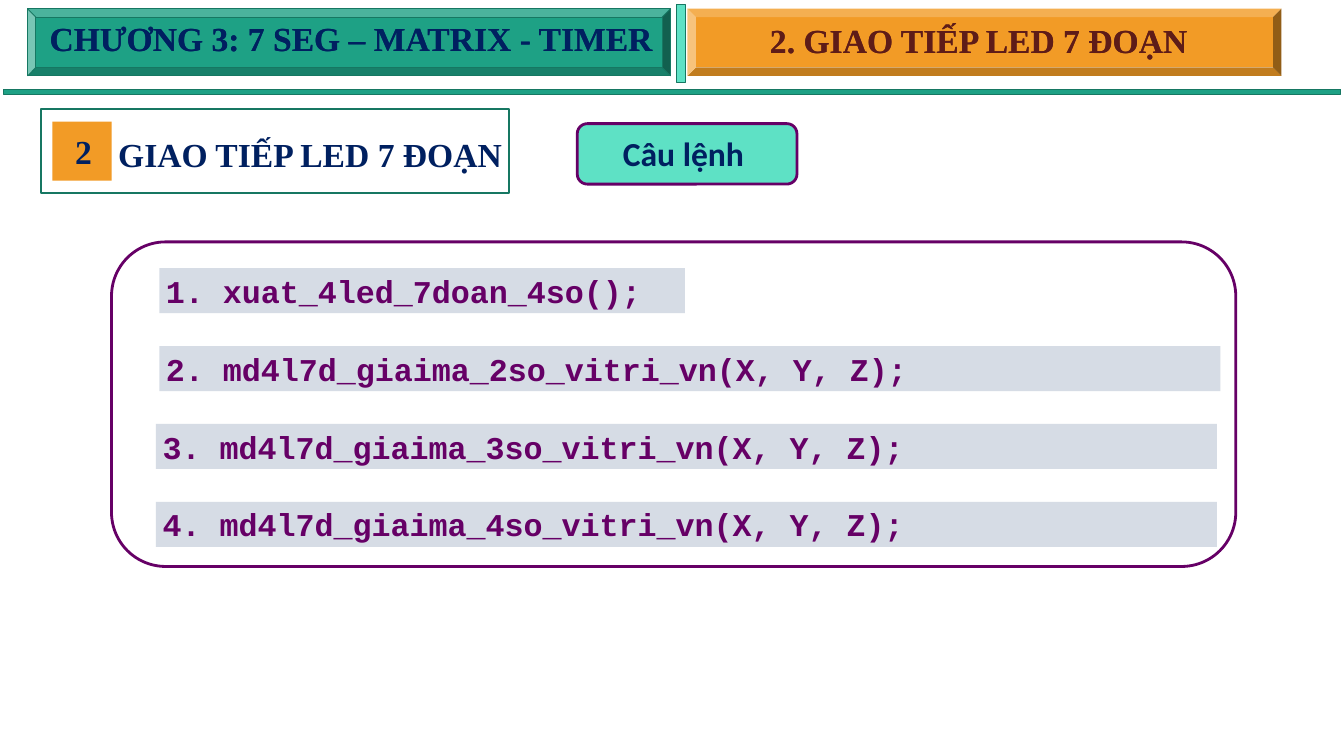
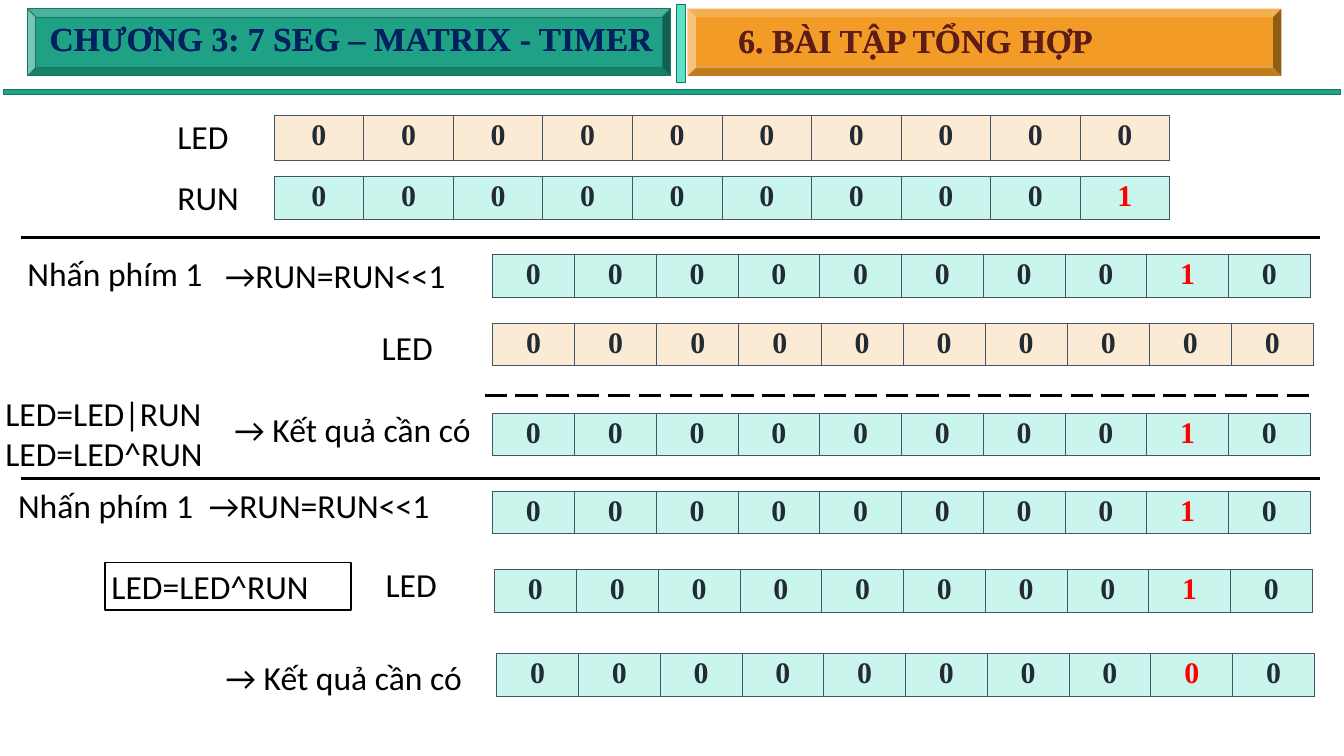
from lxml.etree import SubElement
from pptx import Presentation
from pptx.dml.color import RGBColor
from pptx.enum.dml import MSO_LINE
from pptx.enum.shapes import MSO_CONNECTOR, MSO_SHAPE
from pptx.enum.text import MSO_ANCHOR, PP_ALIGN
from pptx.oxml.ns import qn
from pptx.util import Inches, Pt

HUE = {
    "green": "1EA185", "edge": "167762", "mint": "5EE1C5", "orange": "F29B26",
    "navy": "002060", "brown": "5E1C18", "rose": "DE827B", "plum": "660066",
    "grey": "D6DCE5", "cream": "FCEBD4", "aqua": "C9F5EC", "grid": "445469",
    "ink": "222A34", "red": "FF0000", "black": "000000",
}
HEAD = {"name": "Times New Roman", "size": Pt(36), "bold": True}
BADGE = {"name": "Calibri", "size": Pt(36), "bold": True}
LABEL = {"name": "Calibri", "size": Pt(36), "bold": False}
CODE = {"name": "Courier New", "size": Pt(34), "bold": True}
BIT = {"name": "Times New Roman", "size": Pt(32), "bold": True}


def draw(page, kind, box, fill=None, line=None, width=1):
    place = [Inches(n) for n in box]
    if kind is None:
        return page.shapes.add_textbox(*place)
    form = page.shapes.add_shape(kind, *place)
    form.shadow.inherit = False
    if fill:
        form.fill.solid()
        form.fill.fore_color.rgb = RGBColor.from_string(HUE[fill])
    else:
        form.fill.background()
    if line:
        form.line.color.rgb = RGBColor.from_string(HUE[line])
        form.line.width = Pt(width)
    else:
        form.line.fill.background()
    return form


def write(form, words, look, hue, align=PP_ALIGN.LEFT, after=0):
    frame = form.text_frame
    frame.word_wrap = True
    frame.vertical_anchor = MSO_ANCHOR.TOP
    frame.text = words
    for para in frame.paragraphs:
        para.alignment = align
        para.space_after = Pt(after)
        for run in para.runs:
            for key, value in look.items():
                setattr(run.font, key, value)
            run.font.color.rgb = RGBColor.from_string(HUE[hue])
    return frame


deck = Presentation()
deck.slide_width = Inches(20)
deck.slide_height = Inches(11.25)

pages = []
for title, left in [("2. GIAO TIẾP LED 7 ĐOẠN", 11.36), ("6. BÀI TẬP TỔNG HỢP", 10.89)]:
    page = deck.slides.add_slide(deck.slide_layouts[6])
    pages.append(page)
    draw(page, MSO_SHAPE.MATH_MINUS, (-3.54, 1.2, 27.08, 0.33), "green", "edge")
    draw(page, MSO_SHAPE.BEVEL, (0.41, 0.13, 9.57, 1), "green", "edge")
    draw(page, MSO_SHAPE.MATH_MINUS, (10.05, -1.82, 0.17, 4.93), "mint", "edge")
    draw(page, MSO_SHAPE.BEVEL, (10.23, 0.13, 8.84, 1), "orange")
    heads = [
        ("CHƯƠNG 3: 7 SEG – MATRIX - TIMER", (0.64, 0.22, 12.25, 0.71), "navy", "green", 2.75),
        (title, (left, 0.25, 7.42, 0.71), "brown", "rose", 2.25),
    ]
    for words, box, hue, glow, width in heads:
        for rim in (True, False):
            frame = write(draw(page, None, box), words, HEAD, hue)
            if rim:
                props = frame.paragraphs[0].runs[0]._r.get_or_add_rPr()
                edge = SubElement(props, qn("a:ln"), w=str(Pt(width)))
                tint = SubElement(edge, qn("a:solidFill"))
                SubElement(tint, qn("a:srgbClr"), val=HUE[glow])
                props.insert(0, edge)

first, second = pages

draw(first, MSO_SHAPE.RECTANGLE, (0.78, 1.81, 0.88, 0.88), "orange")
draw(first, MSO_SHAPE.RECTANGLE, (0.61, 1.62, 6.97, 1.25), None, "edge", 2)
write(draw(first, None, (1.66, 1.94, 6.05, 0.71)), "GIAO TIẾP LED 7 ĐOẠN", HEAD, "navy")
write(draw(first, None, (1.02, 1.9, 3.99, 0.71)), "2", HEAD, "navy")
draw(first, MSO_SHAPE.ROUNDED_RECTANGLE, (8.59, 1.84, 3.27, 0.9), "mint", "plum", 3)
write(draw(first, None, (9.17, 1.93, 6.05, 0.71)), "Câu lệnh", BADGE, "navy")
draw(first, MSO_SHAPE.ROUNDED_RECTANGLE, (1.66, 3.6, 16.73, 4.83), None, "plum", 3)

calls = [
    ("xuat_4led_7doan_4so();", 2.37, 7.82),
    ("md4l7d_giaima_2so_vitri_vn(X, Y, Z);", 2.37, 15.79),
    ("md4l7d_giaima_3so_vitri_vn(X, Y, Z);", 2.32, 15.79),
    ("md4l7d_giaima_4so_vitri_vn(X, Y, Z);", 2.32, 15.79),
]
for i, (call, left, width) in enumerate(calls):
    bar = draw(first, MSO_SHAPE.RECTANGLE, (left, 3.99 + 1.16 * i, width, 0.67), "grey")
    write(bar, f"{i + 1}. {call}", CODE, "plum", after=6)

rows = [
    (4.08, 1.72, 13.33, 0.66, "cream", "0000000000", None),
    (4.08, 2.63, 13.33, 0.63, "aqua", "0000000001", 9),
    (7.33, 3.79, 12.17, 0.63, "aqua", "0000000010", 8),
    (7.33, 4.81, 12.22, 0.63, "cream", "0000000000", None),
    (7.33, 6.15, 12.17, 0.63, "aqua", "0000000010", 8),
    (7.33, 7.31, 12.17, 0.63, "aqua", "0000000010", 8),
    (7.36, 8.48, 12.17, 0.63, "aqua", "0000000010", 8),
    (7.39, 9.73, 12.17, 0.63, "aqua", "0000000000", 8),
]
for left, top, width, height, fill, bits, hot in rows:
    place = [Inches(n) for n in (left, top, width, height)]
    table = second.shapes.add_table(1, len(bits), *place).table
    table.first_row = False
    table.horz_banding = False
    for i, bit in enumerate(bits):
        cell = table.cell(0, i)
        write(cell, bit, BIT, "red" if i == hot else "ink", PP_ALIGN.CENTER)
        props = cell._tc.get_or_add_tcPr()
        for side in ("a:lnL", "a:lnR", "a:lnT", "a:lnB"):
            edge = SubElement(props, qn(side), w=str(Pt(1)))
            tint = SubElement(edge, qn("a:solidFill"))
            SubElement(tint, qn("a:srgbClr"), val=HUE["grid"])
        cell.fill.solid()
        cell.fill.fore_color.rgb = RGBColor.from_string(HUE[fill])

for start, end, top, dash in [
    (0.31, 19.65, 3.54, None),
    (7.21, 19.5, 5.88, MSO_LINE.LONG_DASH),
    (0.31, 19.65, 7.12, None),
]:
    rule = second.shapes.add_connector(
        MSO_CONNECTOR.STRAIGHT, Inches(start), Inches(top), Inches(end), Inches(top))
    rule.line.color.rgb = RGBColor.from_string(HUE["black"])
    rule.line.width = Pt(3)
    rule.line.dash_style = dash
    SubElement(rule._element.spPr, qn("a:effectLst"))

labels = [
    ("LED", 2.54, 1.68, 1.28, 0.71),
    ("RUN", 2.54, 2.59, 1.28, 0.71),
    ("Nhấn phím 1", 0.31, 3.72, 4.08, 0.71),
    ("→RUN=RUN<<1", 3.25, 3.75, 4.42, 0.71),
    ("LED", 5.58, 4.81, 4.42, 0.71),
    ("LED=LED|RUN\nLED=LED^RUN", -0.02, 5.8, 4.42, 1.31),
    ("→ Kết quả cần có", 3.39, 6.04, 4.42, 0.71),
    ("Nhấn phím 1", 0.17, 7.17, 4.08, 0.71),
    ("→RUN=RUN<<1", 3.01, 7.16, 4.42, 0.71),
    ("LED", 5.64, 8.34, 4.42, 0.71),
    ("→ Kết quả cần có", 3.26, 9.73, 4.42, 0.71),
]
for words, *box in labels:
    write(draw(second, None, box), words, LABEL, "black", PP_ALIGN.JUSTIFY)
note = draw(second, MSO_SHAPE.RECTANGLE, (1.56, 8.37, 3.66, 0.71), None, "black", 2)
write(note, "LED=LED^RUN", LABEL, "black", PP_ALIGN.JUSTIFY)

deck.save("out.pptx")
